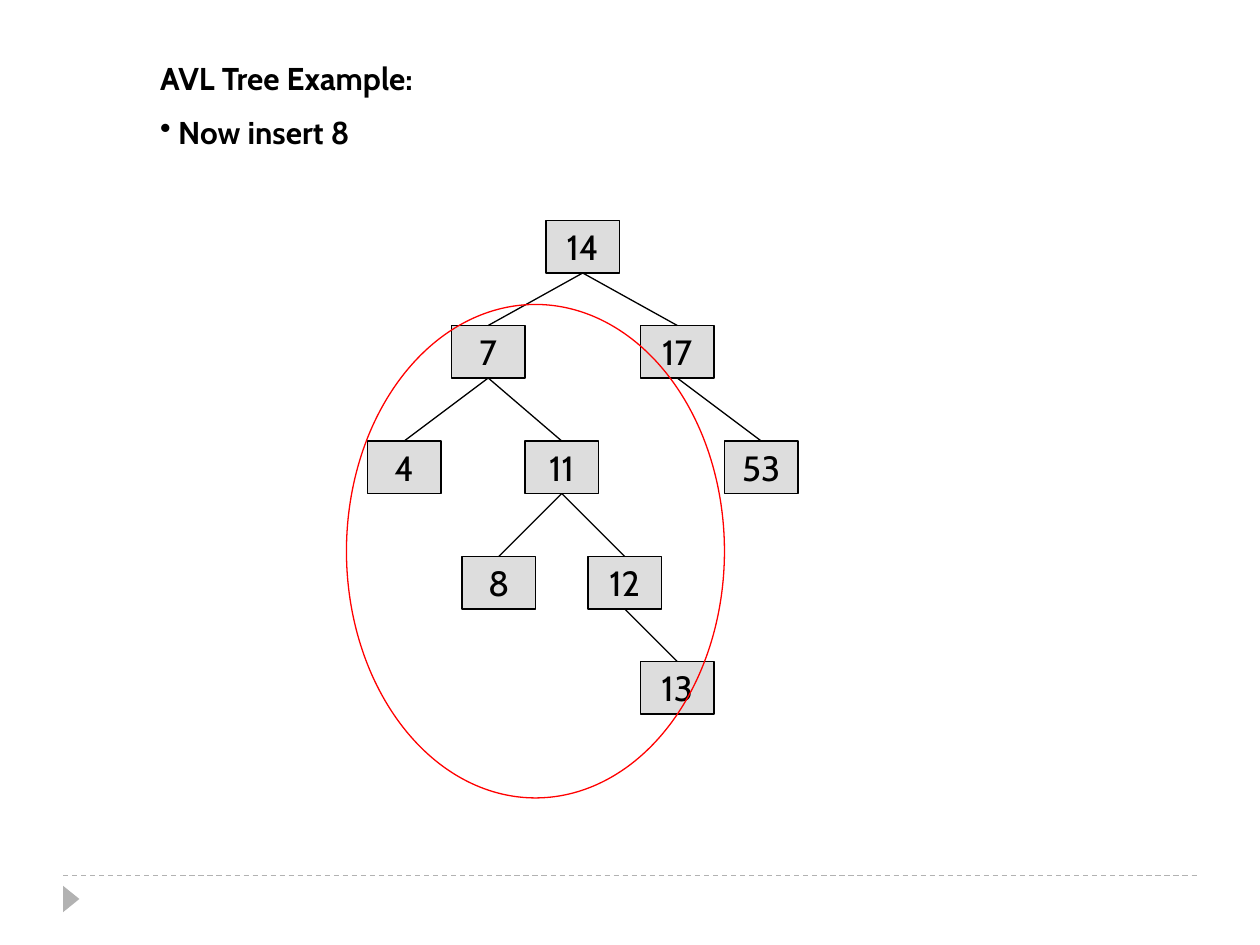
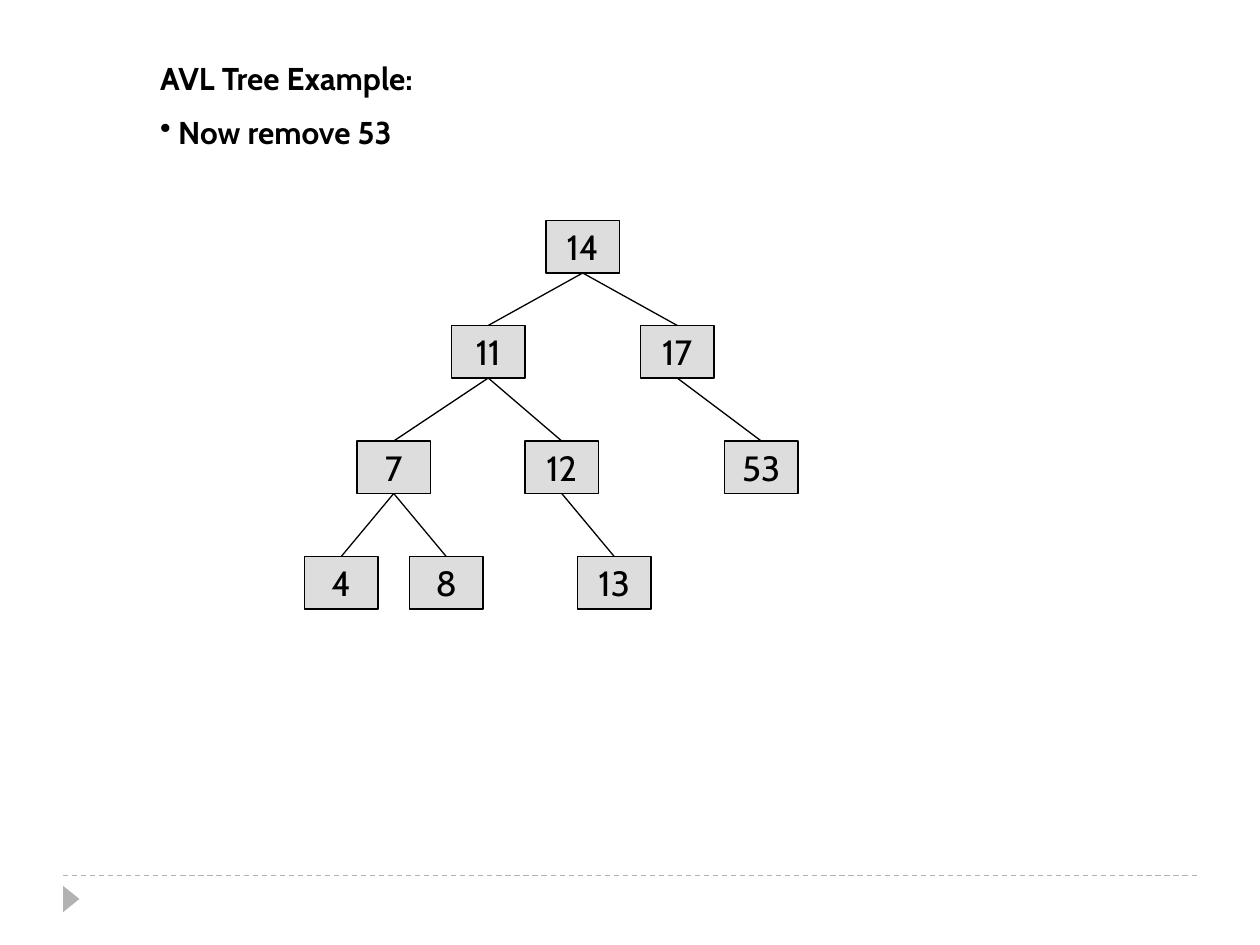
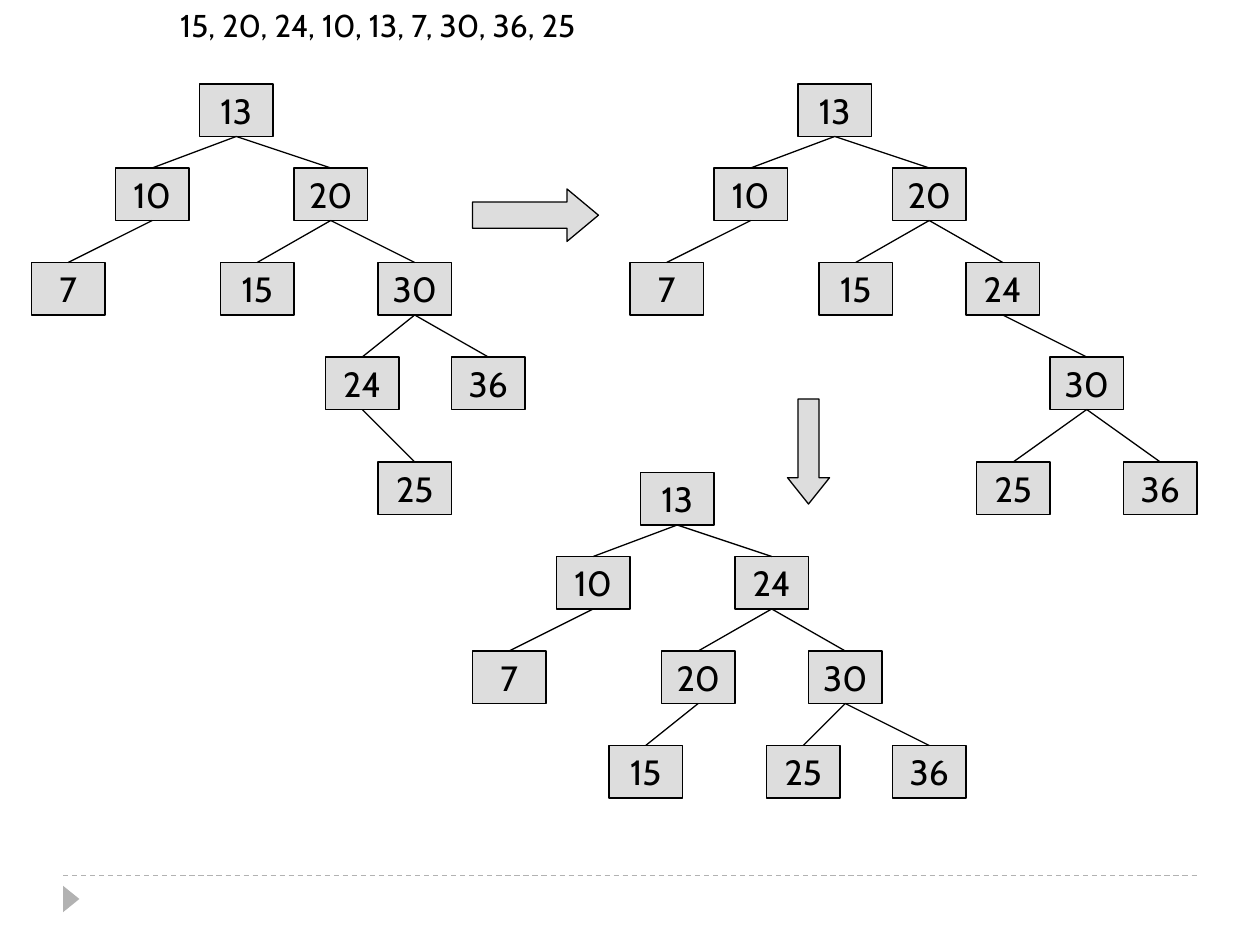
from dataclasses import dataclass

from pptx import Presentation
from pptx import util as u
from pptx.dml.color import RGBColor
from pptx.enum import dml, shapes, text
from pptx.oxml.ns import qn
from lxml import etree

FONT = "Cabin"
BLACK, WHITE, RED = "000000", "FFFFFF", "FF0000"
GREY, RULE = "DDDDDD", "B2B2B2"
BOX_W, BOX_H = 7, 5
ROWS = (0, 8, 17, 26, 36)


@dataclass(frozen=True)
class Node:
    key: int
    x: int
    kids: tuple["Node", ...] = ()


@dataclass(frozen=True)
class Tree:
    """Left edges and row tops are counted in twelfths of an inch."""
    root: Node
    top: int
    rows: tuple[int, ...] = ROWS


@dataclass(frozen=True)
class Mark:
    kind: shapes.MSO_SHAPE
    x: int
    y: int
    w: int
    h: int
    fill: str | None = GREY
    line: str = BLACK
    adj: tuple[float, ...] = ()


@dataclass(frozen=True)
class Head:
    lines: tuple[str, ...]
    left: float
    top: float
    width: float
    height: float
    indent: float = 0
    bold: bool = False


@dataclass(frozen=True)
class Page:
    head: Head
    trees: tuple[Tree, ...]
    marks: tuple[Mark, ...] = ()


def cell(n: int) -> u.Length:
    """Length of n grid steps, twelve to the inch."""
    return u.Inches(n / 12)


def rgb(code: str) -> RGBColor:
    return RGBColor.from_string(code)


def put(para, words: str, *, size=18, bold=False, color=BLACK,
        align=text.PP_ALIGN.LEFT) -> None:
    """Write words into a paragraph with the given format."""
    para.alignment = align
    run = para.add_run()
    run.text = words
    run.font.name = FONT
    run.font.size = u.Pt(size)
    run.font.bold = bold
    run.font.color.rgb = rgb(color)


def paint(shape, fill: str | None, line: str | None) -> None:
    shape.shadow.inherit = False
    if fill:
        shape.fill.solid()
        shape.fill.fore_color.rgb = rgb(fill)
    else:
        shape.fill.background()
    if line:
        shape.line.color.rgb = rgb(line)
        shape.line.width = u.Pt(0.75)
    else:
        shape.line.fill.background()


def link(slide, x1=0, y1=0, x2=0, y2=0, color=BLACK):
    """Add a thin straight line without a shadow."""
    line = slide.shapes.add_connector(
        shapes.MSO_CONNECTOR.STRAIGHT, x1, y1, x2, y2)
    line.line.color.rgb = rgb(color)
    line.line.width = u.Pt(0.75)
    etree.SubElement(line.element.spPr, qn("a:effectLst"))
    return line


def footer(prs, slide) -> None:
    """Draw the rule and pointer, then hand them to the slide master."""
    rule = link(slide, u.Inches(0.5), u.Inches(6.95),
                u.Inches(9.5), u.Inches(6.95), RULE)
    rule.line.dash_style = dml.MSO_LINE.DASH
    tip = slide.shapes.add_shape(
        shapes.MSO_SHAPE.ISOSCELES_TRIANGLE, u.Inches(0.46),
        u.Inches(7.07), u.Inches(0.21), u.Inches(0.13))
    tip.rotation = 90
    paint(tip, RULE, None)
    for num, part in enumerate((rule, tip), start=50):
        part.element.xpath(".//p:cNvPr")[0].set("id", str(num))
        prs.slide_master.element.cSld.spTree.append(part.element)


def header(slide, head: Head) -> None:
    """Fill the title; lines after the first are bulleted."""
    box = slide.shapes.title
    box.left, box.top = u.Inches(head.left), u.Inches(head.top)
    box.width, box.height = u.Inches(head.width), u.Inches(head.height)
    frame = box.text_frame
    frame.word_wrap = True
    frame.vertical_anchor = text.MSO_ANCHOR.TOP
    frame.auto_size = text.MSO_AUTO_SIZE.SHAPE_TO_FIT_TEXT
    for i, words in enumerate(head.lines):
        para = frame.add_paragraph() if i else frame.paragraphs[0]
        put(para, words, bold=head.bold)
        props = para._p.get_or_add_pPr()
        props.set("marL", str(u.Inches(head.indent)))
        props.set("indent", "0")
        if i:
            para.space_before = u.Pt(9)
            etree.SubElement(props, qn("a:buChar")).set("char", "•")


def grow(slide, tree: Tree, node: Node, depth: int = 0):
    """Draw a node and its subtree; return the node's box."""
    box = slide.shapes.add_shape(
        shapes.MSO_SHAPE.RECTANGLE, cell(node.x),
        cell(tree.top + tree.rows[depth]), cell(BOX_W), cell(BOX_H))
    paint(box, GREY, BLACK)
    frame = box.text_frame
    frame.word_wrap = False
    frame.vertical_anchor = text.MSO_ANCHOR.MIDDLE
    put(frame.paragraphs[0], str(node.key), size=20,
        align=text.PP_ALIGN.CENTER)
    for kid in node.kids:
        child = grow(slide, tree, kid, depth + 1)
        edge = link(slide)
        edge.begin_connect(box, 2)
        edge.end_connect(child, 0)
    return box


def stamp(slide, mark: Mark) -> None:
    shape = slide.shapes.add_shape(
        mark.kind, cell(mark.x), cell(mark.y), cell(mark.w), cell(mark.h))
    for i, value in enumerate(mark.adj):
        shape.adjustments[i] = value
    paint(shape, mark.fill, mark.line)


def avl(step: str) -> Head:
    return Head(("AVL Tree Example:", " " + step),
                1.17, 0.42, 7.83, 0.85, bold=True)


TALL = (0, 10, 21, 32, 42)
RIGHT = Node(17, 61, (Node(53, 69),))

insert = Node(14, 52, (
    Node(7, 43, (
        Node(4, 35),
        Node(11, 50, (
            Node(8, 44),
            Node(12, 56, (Node(13, 61),)))))),
    RIGHT))

remove = Node(14, 52, (
    Node(11, 43, (
        Node(7, 34, (Node(4, 29), Node(8, 39))),
        Node(12, 50, (Node(13, 55),)))),
    RIGHT))

start = Node(13, 19, (
    Node(10, 11, (Node(7, 3),)),
    Node(20, 28, (
        Node(15, 21),
        Node(30, 36, (
            Node(24, 31, (Node(25, 36),)),
            Node(36, 43)))))))

turn = Node(13, 76, (
    Node(10, 68, (Node(7, 60),)),
    Node(20, 85, (
        Node(15, 78),
        Node(24, 92, (
            Node(30, 100, (Node(25, 93), Node(36, 107))),))))))

final = Node(13, 61, (
    Node(10, 53, (Node(7, 45),)),
    Node(24, 70, (
        Node(20, 63, (Node(15, 58),)),
        Node(30, 77, (Node(25, 73), Node(36, 85)))))))

PAGES = (
    Page(avl("Now insert 8"), (Tree(insert, 21, TALL),),
         (Mark(shapes.MSO_SHAPE.OVAL, 33, 29, 36, 47, None, RED),)),
    Page(avl("Now remove 53"), (Tree(remove, 21, TALL),)),
    Page(Head(("15, 20, 24, 10, 13, 7, 30, 36, 25",),
              0.83, 0, 8.17, 0.4, indent=0.5),
         (Tree(start, 8), Tree(turn, 8), Tree(final, 45)),
         (Mark(shapes.MSO_SHAPE.RIGHT_ARROW, 45, 18, 12, 5, adj=(0.5, 0.6)),
          Mark(shapes.MSO_SHAPE.DOWN_ARROW, 75, 38, 4, 10,
               adj=(0.5, 0.625)))),
)


def main() -> None:
    prs = Presentation()
    prs.slide_width, prs.slide_height = u.Inches(10), u.Inches(7.5)
    back = prs.slide_master.background.fill
    back.solid()
    back.fore_color.rgb = rgb(WHITE)
    for i, page in enumerate(PAGES):
        slide = prs.slides.add_slide(prs.slide_layouts[5])
        if i == 0:
            footer(prs, slide)
        header(slide, page.head)
        for tree in page.trees:
            grow(slide, tree, tree.root)
        for mark in page.marks:
            stamp(slide, mark)
    prs.save("out.pptx")


if __name__ == "__main__":
    main()
